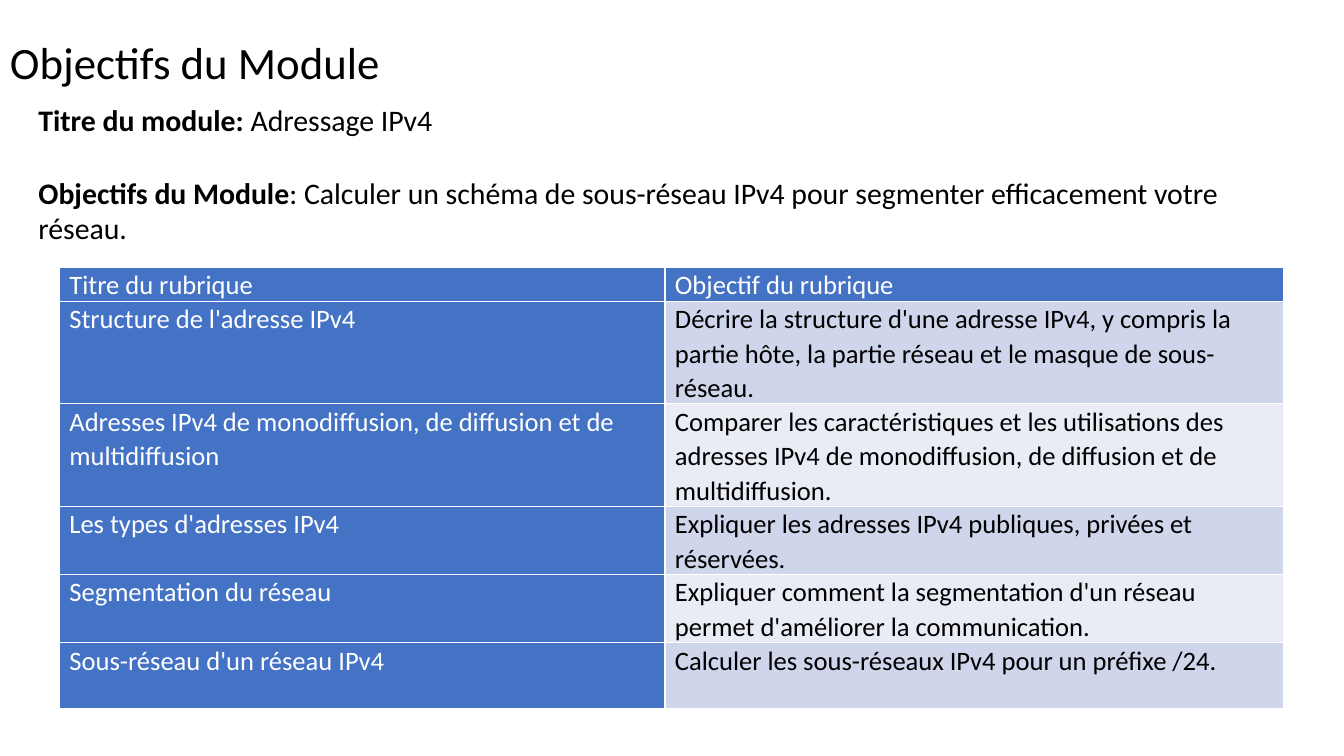
from lxml import etree
from pptx import Presentation
from pptx.dml.color import RGBColor
from pptx.enum.text import MSO_ANCHOR
from pptx.oxml.ns import qn
from pptx.util import Cm, Pt

MIDDLE = MSO_ANCHOR.MIDDLE
FONT = "Calibri"
COLORS = {"text": "000000", "white": "FFFFFF", "blue": "4472C4",
          "band_dark": "CFD5EA", "band_light": "E9EBF5"}

# Content
TITLE = [[("Objectifs du Module", False)]]
SUMMARY = [
    [("Titre du module: ", True), ("Adressage IPv4", False)],
    [("Objectifs du Module", True),
     (": Calculer un schéma de sous-réseau IPv4 pour segmenter "
      "efficacement votre réseau.", False)],
]
TOPICS = [
    ("Titre du rubrique", "Objectif du rubrique"),
    ("Structure de l'adresse IPv4",
     "Décrire la structure d'une adresse IPv4, y compris la partie hôte, "
     "la partie réseau et le masque de sous-réseau."),
    ("Adresses IPv4 de monodiffusion, de diffusion et de multidiffusion",
     "Comparer les caractéristiques et les utilisations des adresses IPv4 "
     "de monodiffusion, de diffusion et de multidiffusion."),
    ("Les types d'adresses IPv4",
     "Expliquer les adresses IPv4 publiques, privées et réservées."),
    ("Segmentation du réseau",
     "Expliquer comment la segmentation d'un réseau permet d'améliorer "
     "la communication."),
    ("Sous-réseau d'un réseau IPv4",
     "Calculer les sous-réseaux IPv4 pour un préfixe /24."),
]
COLUMN_WIDTHS = [15.26, 15.59]
ROW_HEIGHTS = [0.82, 2.49, 2.49, 1.66, 1.66, 1.66]


def color(name):
    return RGBColor.from_string(COLORS[name])


def style(para, size, color_name):
    para.font.name = FONT
    para.font.size = Pt(size)
    para.font.color.rgb = color(color_name)


def add_text(page, area, paragraphs, size, inset_x, inset_y, gap=0):
    box = page.shapes.add_textbox(*map(Cm, area))
    frame = box.text_frame
    frame.word_wrap = True
    frame.vertical_anchor = MIDDLE
    frame.margin_left = frame.margin_right = Cm(inset_x)
    frame.margin_top = frame.margin_bottom = Cm(inset_y)
    for index, spans in enumerate(paragraphs):
        para = frame.add_paragraph() if index else frame.paragraphs[0]
        if index:
            para.space_before = Pt(gap)
        style(para, size, "text")
        for text, bold in spans:
            span = para.add_run()
            span.text = text
            span.font.bold = bold


def add_borders(cell):
    properties = cell._tc.get_or_add_tcPr()
    for side in ("lnL", "lnR", "lnT", "lnB"):
        line = etree.SubElement(properties, qn(f"a:{side}"), w=str(Pt(1)))
        fill = etree.SubElement(line, qn("a:solidFill"))
        etree.SubElement(fill, qn("a:srgbClr"), val=COLORS["white"])


deck = Presentation()
deck.slide_width, deck.slide_height = Cm(33.87), Cm(19.05)
page = deck.slides.add_slide(deck.slide_layouts[6])

# Title and module summary
add_text(page, (0, 0.15, 33.87, 2.79), TITLE, 32, 0.25, 0.13)
add_text(page, (0.64, 2.39, 32.61, 3.99), SUMMARY, 21.3, 0.33, 0.18, gap=26)

# Table of topics
table = page.shapes.add_table(
    len(TOPICS), len(COLUMN_WIDTHS), Cm(1.5), Cm(6.73),
    Cm(sum(COLUMN_WIDTHS)), Cm(sum(ROW_HEIGHTS))).table
for column, width in zip(table.columns, COLUMN_WIDTHS):
    column.width = Cm(width)
for row, height in zip(table.rows, ROW_HEIGHTS):
    row.height = Cm(height)

for r, topic in enumerate(TOPICS):
    for c, text in enumerate(topic):
        cell = table.cell(r, c)
        cell.margin_left = cell.margin_right = Cm(0.25)
        cell.margin_top = cell.margin_bottom = 0
        add_borders(cell)
        heading = r == 0 or c == 0
        band = "band_dark" if r % 2 else "band_light"
        cell.fill.solid()
        cell.fill.fore_color.rgb = color("blue" if heading else band)
        cell.text = text
        para = cell.text_frame.paragraphs[0]
        para.line_spacing = 1.07
        style(para, 19, "white" if heading else "text")
        para.font.bold = False

deck.save("out.pptx")
